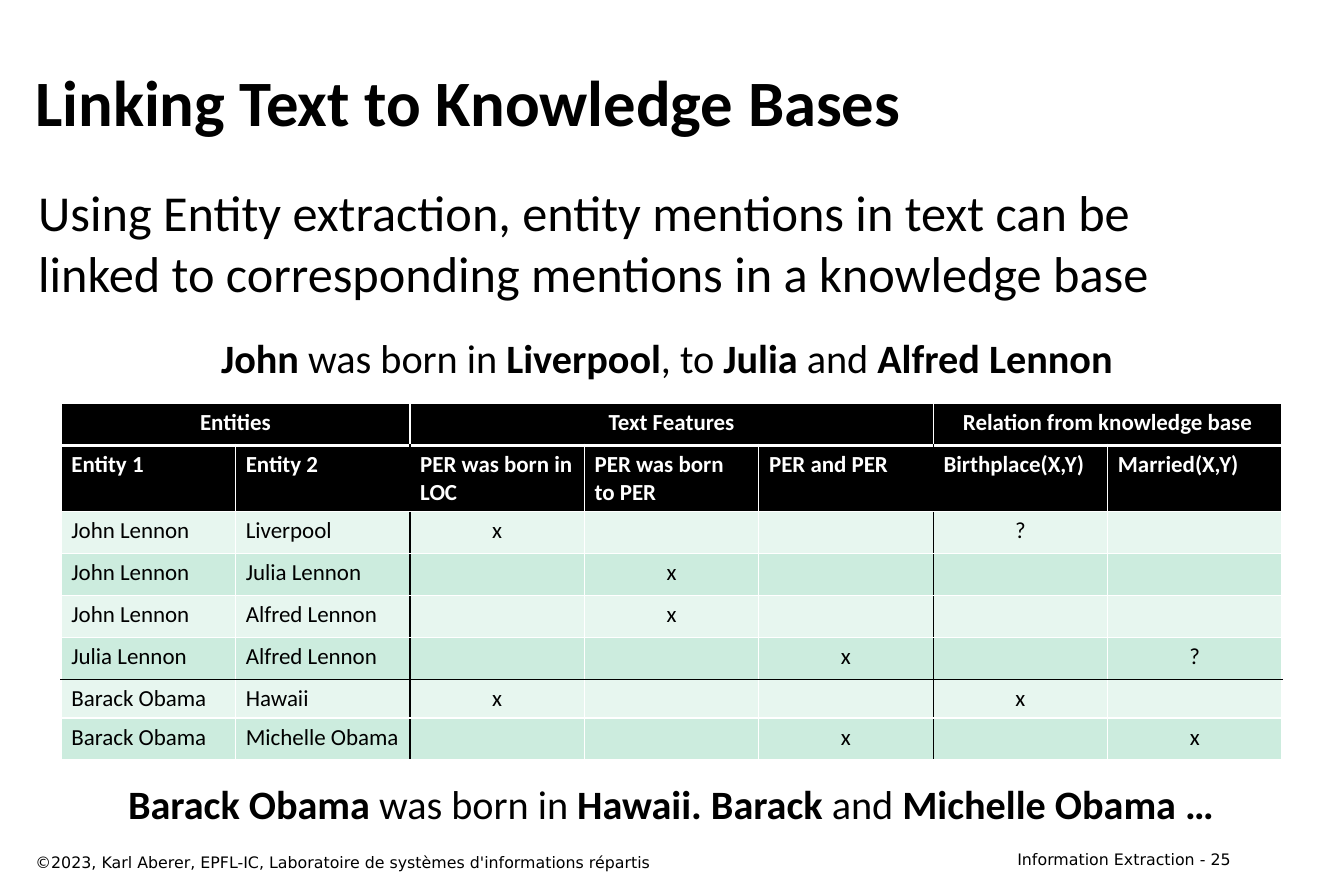
from lxml.etree import SubElement
from pptx import Presentation
from pptx.dml.color import RGBColor
from pptx.enum.text import MSO_ANCHOR as Anchor, PP_ALIGN as Align
from pptx.oxml.ns import qn
from pptx.util import Pt

COLORS = {"black": "000000", "white": "FFFFFF", "light": "E7F6EF", "mint": "CCECDE"}

GROUPS = [("Entities", 0, 1), ("Text Features", 2, 4), ("Relation from knowledge base", 5, 6)]
HEADINGS = ["Entity 1", "Entity 2", "PER was born in LOC", "PER was born to PER",
            "PER and PER", "Birthplace(X,Y)", "Married(X,Y)"]
FACTS = [
    ["John Lennon", "Liverpool", "x", "", "", "?", ""],
    ["John Lennon", "Julia Lennon", "", "x", "", "", ""],
    ["John Lennon", "Alfred Lennon", "", "x", "", "", ""],
    ["Julia Lennon", "Alfred Lennon", "", "", "x", "", "?"],
    ["Barack Obama", "Hawaii", "x", "", "", "x", ""],
    ["Barack Obama", "Michelle Obama", "", "", "x", "", "x"],
]
ROW_HEIGHTS = [29.2, 46.2] + [29.2] * 4 + [26.7, 29.2]
COLUMN_WIDTH = 121.4
GROUP_ENDS = (1, 4)   # columns followed by a black rule
LAST_QUERY_ROW = 5    # row followed by a black rule


class SlideBuilder:
    font = "Calibri"
    small_font = "DejaVu Sans"

    def __init__(self, page):
        self.page = page

    def style(self, span, size, color="black", bold=False, font=None):
        span.font.name = font or self.font
        span.font.size = Pt(size)
        span.font.bold = bold
        span.font.color.rgb = RGBColor.from_string(COLORS[color])

    def box(self, left, top, width, height, wrap=True):
        frame = self.page.shapes.add_textbox(Pt(left), Pt(top), Pt(width), Pt(height)).text_frame
        frame.word_wrap = wrap
        return frame

    def text(self, bounds, words, size, bold=False, font=None, align=Align.LEFT, anchor=Anchor.TOP):
        frame = self.box(*bounds)
        frame.margin_left = frame.margin_right = Pt(8.6)
        frame.margin_top = frame.margin_bottom = Pt(4.3)
        frame.vertical_anchor = anchor
        frame.text = words
        para = frame.paragraphs[0]
        para.alignment = align
        self.style(para.runs[0], size, bold=bold, font=font)

    def sentence(self, bounds, pieces):
        """Centred line whose pieces alternate between bold and regular."""
        para = self.box(*bounds, wrap=False).paragraphs[0]
        para.alignment = Align.CENTER
        for index, piece in enumerate(pieces):
            span = para.add_run()
            span.text = piece
            self.style(span, 28, bold=index % 2 == 0)

    def cell(self, cell, words, fill, color="black", bold=False, align=Align.LEFT):
        cell.fill.solid()
        cell.fill.fore_color.rgb = RGBColor.from_string(COLORS[fill])
        cell.text = words
        para = cell.text_frame.paragraphs[0]
        para.alignment = align
        para.font.size = Pt(16)
        for span in para.runs:
            self.style(span, 16, color, bold)

    def borders(self, cell, sides):
        properties = cell._tc.get_or_add_tcPr()
        for position, (side, (color, width)) in enumerate(sides.items()):
            line = SubElement(properties, qn("a:ln" + side), w=str(Pt(width)))
            fill = SubElement(line, qn("a:solidFill"))
            SubElement(fill, qn("a:srgbClr"), val=COLORS[color])
            properties.insert(position, line)

    def table(self, left, top):
        rows, columns = len(ROW_HEIGHTS), len(HEADINGS)
        table = self.page.shapes.add_table(rows, columns, Pt(left), Pt(top),
                                           Pt(COLUMN_WIDTH * columns), Pt(sum(ROW_HEIGHTS))).table
        table.first_row = table.horz_banding = False
        for column in table.columns:
            column.width = Pt(COLUMN_WIDTH)
        for row, height in zip(table.rows, ROW_HEIGHTS):
            row.height = Pt(height)

        # Group header
        for words, first, last in GROUPS:
            table.cell(0, first).merge(table.cell(0, last))
            self.cell(table.cell(0, first), words, "black", "white", True, Align.CENTER)

        # Column headings and facts
        for column, words in enumerate(HEADINGS):
            self.cell(table.cell(1, column), words, "black", "white", True)
        for row, fact in enumerate(FACTS, start=2):
            for column, words in enumerate(fact):
                self.cell(table.cell(row, column), words, "mint" if row % 2 else "light",
                          align=Align.CENTER if column > 1 else Align.LEFT)

        # Rules between cells
        def vertical(row, column):
            return ("black" if row and column in GROUP_ENDS else "white", 1)

        def horizontal(row):
            return ("black" if row == LAST_QUERY_ROW else "white", 1 if row else 3)

        for row in range(rows):
            for column in range(columns):
                self.borders(table.cell(row, column), {
                    "L": vertical(row, column - 1), "R": vertical(row, column),
                    "T": horizontal(row - 1), "B": horizontal(row)})


def main():
    deck = Presentation()
    deck.slide_width, deck.slide_height = Pt(935.3), Pt(623.5)
    builder = SlideBuilder(deck.slides.add_slide(deck.slide_layouts[6]))

    # Footer
    builder.text((670.3, 586.8, 195, 21), "Information Extraction - 25", 11,
                 font=builder.small_font, align=Align.RIGHT)
    builder.text((16, 589, 600, 21),
                 "©2023, Karl Aberer, EPFL-IC, Laboratoire de systèmes d'informations répartis",
                 11, font=builder.small_font)

    # Title and statement
    builder.text((16, 28, 849.6, 83.5), "Linking Text to Knowledge Bases", 45,
                 bold=True, anchor=Anchor.MIDDLE)
    builder.text((18, 122, 849.6, 110),
                 "Using Entity extraction, entity mentions in text can be linked to "
                 "corresponding mentions in a knowledge base", 35)

    # Table with its example sentences
    builder.table(42.5, 280.8)
    builder.sentence((144.7, 228.2, 645, 41),
                     ["John", " was born in ", "Liverpool", ", to ", "Julia", " and ", "Alfred Lennon "])
    builder.sentence((74.9, 538.6, 784, 41),
                     ["Barack Obama ", "was born in ", "Hawaii. Barack ", "and", " Michelle Obama …"])

    deck.save("out.pptx")


if __name__ == "__main__":
    main()
